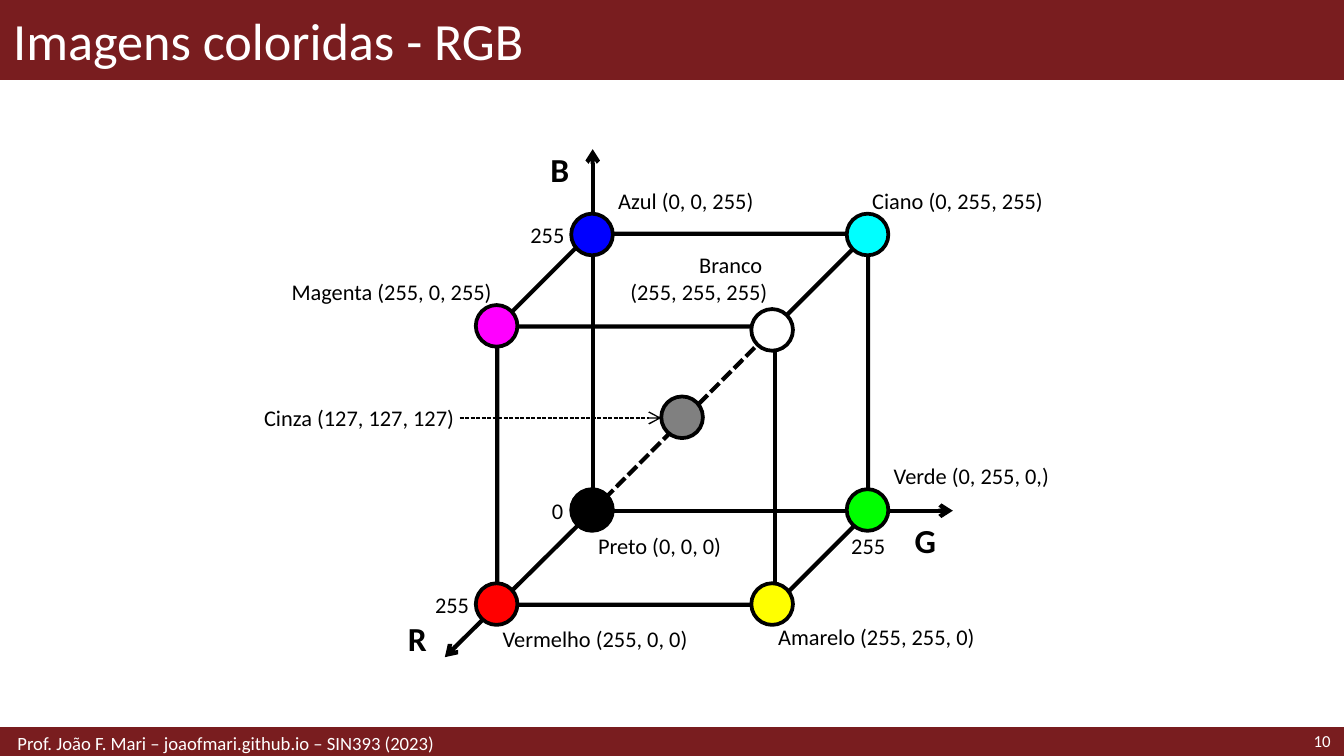
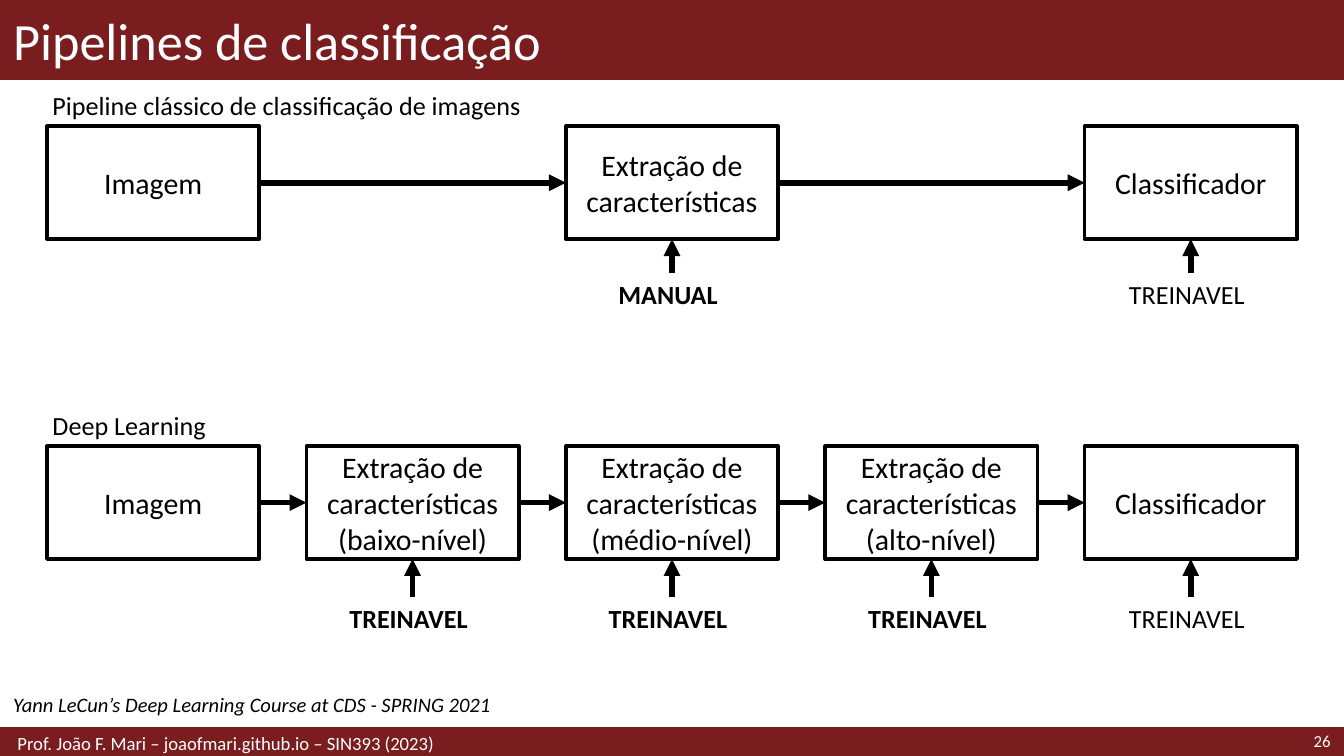
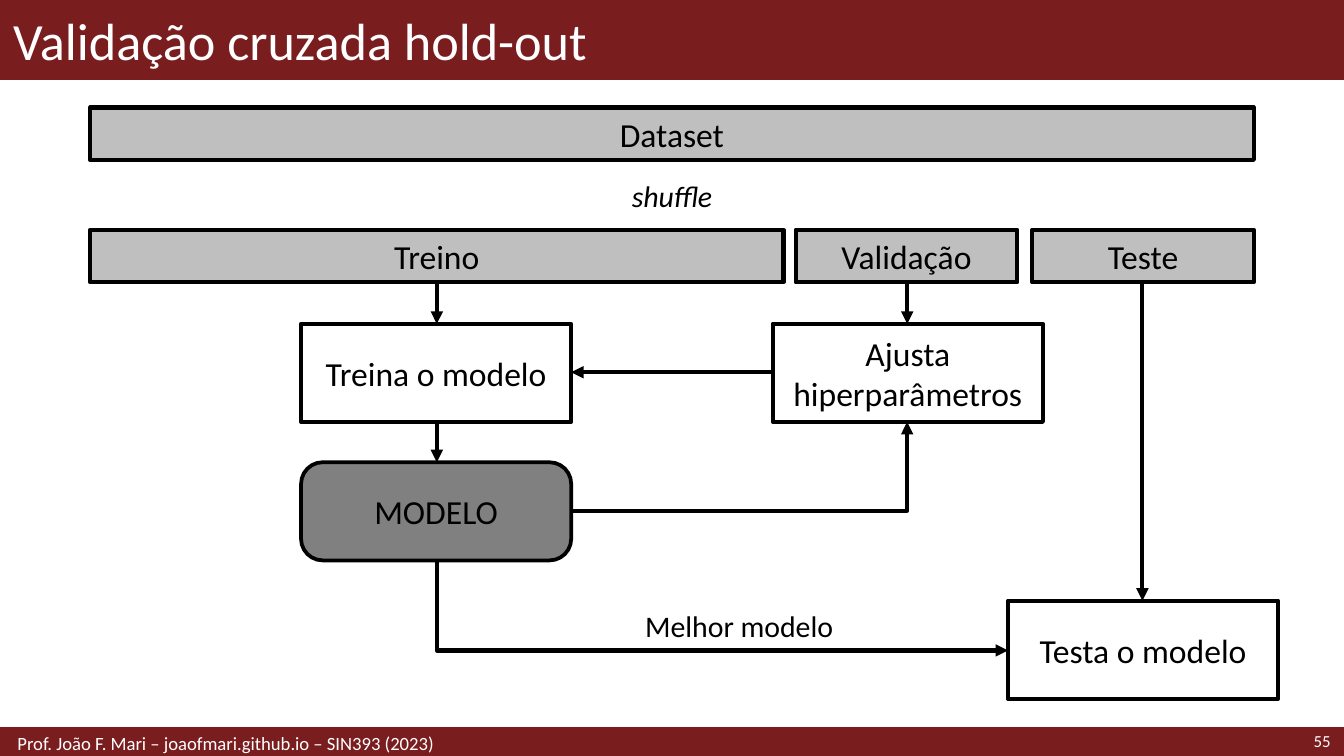
from pptx import Presentation
from pptx.dml.color import RGBColor as Rgb
from pptx.enum.dml import MSO_LINE as Dash
from pptx.enum.shapes import MSO_CONNECTOR as Conn, MSO_SHAPE as Kind
from pptx.enum.text import MSO_ANCHOR as Anchor, PP_ALIGN as Align
from pptx.oxml.ns import qn
from pptx.util import Inches, Pt
from lxml import etree

WINE = Rgb(0x79, 0x1D, 0x1F)
WHITE = Rgb(0xFF, 0xFF, 0xFF)
BLACK = Rgb(0, 0, 0)
GRAY = Rgb(0x80, 0x80, 0x80)
SILVER = Rgb(0xBF, 0xBF, 0xBF)
BLUE = Rgb(0, 0, 0xFF)
CYAN = Rgb(0, 0xFF, 0xFF)
GREEN = Rgb(0, 0xFF, 0)
YELLOW = Rgb(0xFF, 0xFF, 0)
RED = Rgb(0xFF, 0, 0)
PINK = Rgb(0xFF, 0, 0xFF)

LEFT, MID, RIGHT = Align.LEFT, Align.CENTER, Align.RIGHT
TOP, CORE, BASE = Anchor.TOP, Anchor.MIDDLE, Anchor.BOTTOM
PAD = (0.1, 0.05, 0.1, 0.05)
TIGHT = (0.04, 0, 0.04, 0)
LABEL = (0.04, 0.05, 0.1, 0.05)


def put(slide, at, words="", size=12, kind=None, fill=None, edge=BLACK, wide=2,
        side=MID, anchor=CORE, pad=PAD, color=BLACK, wrap=True, **style):
    """Add a preset shape, or a text box if no kind is given."""
    at = [Inches(n) for n in at]
    if kind is None:
        shape = slide.shapes.add_textbox(*at)
    else:
        shape = slide.shapes.add_shape(kind, *at)
        shape.shadow.inherit = False
        shape.line.color.rgb = edge
        shape.line.width = Pt(wide)
        if fill is None:
            shape.fill.background()
        else:
            shape.fill.solid()
            shape.fill.fore_color.rgb = fill
    if words:
        frame = shape.text_frame
        frame.text = words
        form = {"word_wrap": wrap, "vertical_anchor": anchor}
        for key, inset in zip(("left", "top", "right", "bottom"), pad):
            form["margin_" + key] = Inches(inset)
        for key, value in form.items():
            setattr(frame, key, value)
        look = {"name": "Calibri", "size": Pt(size), **style}
        for par in frame.paragraphs:
            par.alignment = side
            for run in par.runs:
                run.font.color.rgb = color
                for key, value in look.items():
                    setattr(run.font, key, value)
    return shape


def link(slide, start, end, wide=2.25, tip="triangle", dash=None, turn=None):
    """Add a straight line, or a one-corner line turned by some degrees."""
    kind = Conn.STRAIGHT if turn is None else Conn.ELBOW
    wire = slide.shapes.add_connector(kind, *[Inches(n) for n in (*start, *end)])
    wire.line.color.rgb = BLACK
    wire.line.width = Pt(wide)
    if dash:
        wire.line.dash_style = dash
    props = wire._element.spPr
    if tip:
        etree.SubElement(props.find(qn("a:ln")), qn("a:tailEnd"), type=tip)
    etree.SubElement(props, qn("a:effectLst"))
    if turn is not None:
        props.find(qn("a:prstGeom")).set("prst", "bentConnector2")
        props.find(qn("a:xfrm")).set("rot", str(turn * 60000))


# Widescreen, 16 to 9
deck = Presentation()
deck.slide_width, deck.slide_height = Inches(10), Inches(10 * 9 / 16)

# Shared bands, title, number and footer
heads = [("Imagens coloridas - RGB", "10"),
         ("Pipelines de classificação", "26"),
         ("Validação cruzada hold-out", "55")]
pages = []
for title, number in heads:
    page = deck.slides.add_slide(deck.slide_layouts[6])
    put(page, (0, 0, 10, 0.59), kind=Kind.RECTANGLE, fill=WINE, edge=WINE, wide=1)
    put(page, (0, 5.42, 10, 0.21), kind=Kind.RECTANGLE, fill=WINE, edge=WINE)
    put(page, (0, 0, 10, 0.59), title, 28, side=LEFT, color=WHITE)
    put(page, (8.86, 5.41, 1.14, 0.21), number, 9, side=RIGHT, color=WHITE)
    put(page, (0, 5.42, 6.89, 0.21),
        "Prof. João F. Mari – joaofmari.github.io – SIN393 (2023)", 10,
        side=LEFT, color=WHITE, pad=(0.13, 0.05, 0.1, 0.05))
    pages.append(page)
cube, pipe, hold = pages

# RGB cube: axes
zero = (4.41, 3.8)
for name, tip, x, y in [("G", (7.09, 3.8), 6.69, 3.87),
                        ("R", (3.31, 4.89), 2.91, 4.6),
                        ("B", (4.41, 1.11), 3.97, 1.11)]:
    link(cube, zero, tip, tip="arrow")
    put(cube, (x, y, 0.39, 0.29), name, 18, bold=True)
for mark, x, y, w in [("0", 4.02, 3.65, 0.21), ("255", 3.86, 1.6, 0.38),
                      ("255", 3.15, 4.35, 0.38)]:
    put(cube, (x, y, w, 0.29), mark, side=RIGHT, pad=TIGHT)
put(cube, (6.27, 3.96, 0.38, 0.2), "255", pad=(0.04,) * 4)

# RGB cube: body, gray diagonal and corners
put(cube, (3.7, 1.74, 2.76, 2.76), kind=Kind.CUBE, wide=2.25)
link(cube, zero, (5.75, 2.45), tip=None, dash=Dash.SQUARE_DOT)
for x, y, tint in [(4.25, 1.59, BLUE), (6.3, 1.59, CYAN), (5.59, 2.3, WHITE),
                   (6.3, 3.64, GREEN), (5.59, 4.34, YELLOW), (3.54, 4.34, RED),
                   (3.54, 2.27, PINK), (4.25, 3.64, BLACK), (4.92, 2.95, GRAY)]:
    put(cube, (x, y, 0.31, 0.31), kind=Kind.OVAL, fill=tint)

# RGB cube: colour names
for words, x, y, w, side, anchor in [
        ("Azul (0, 0, 255)", 4.56, 1.3, 1.18, LEFT, BASE),
        ("Ciano (0, 255, 255)", 6.45, 1.3, 1.57, LEFT, BASE),
        ("Magenta (255, 0, 255)", 2.1, 1.98, 1.6, RIGHT, BASE),
        ("Branco \v(255, 255, 255)", 4.37, 1.98, 1.38, RIGHT, BASE),
        ("Vermelho (255, 0, 0)", 3.7, 4.65, 1.73, LEFT, TOP),
        ("Amarelo (255, 255, 0)", 5.75, 4.64, 1.73, LEFT, TOP),
        ("Verde (0, 255, 0,)", 6.61, 3.35, 1.73, LEFT, BASE),
        ("Preto (0, 0, 0)", 4.41, 3.96, 1.57, LEFT, TOP),
        ("Cinza (127, 127, 127)", 1.85, 2.96, 1.57, RIGHT, CORE)]:
    put(cube, (x, y, w, 0.29), words, side=side, anchor=anchor, pad=TIGHT)
link(cube, (3.42, 3.11), (4.92, 3.11), 0.75, "arrow", Dash.SQUARE_DOT)

# Pipelines: each step has a column, its words and a note below
WIDE, TALL, STEP = 1.58, 0.84, 1.93
extract = "Extração de características"
rows = [
    ("Pipeline clássico de classificação de imagens", 0.94, 2.03,
     [(0, "Imagem", ""), (2, extract, "MANUAL"),
      (4, "Classificador", "TREINAVEL")]),
    ("Deep Learning", 3.32, 4.44,
     [(0, "Imagem", ""), (1, extract + "\n(baixo-nível)", "TREINAVEL"),
      (2, extract + "\n(médio-nível)", "TREINAVEL"),
      (3, extract + "\n(alto-nível)", "TREINAVEL"),
      (4, "Classificador", "TREINAVEL")])]
for head, y, low, steps in rows:
    put(pipe, (0.35, y - 0.31, 5.51, 0.31), head, 14, side=LEFT, pad=LABEL)
    last = None
    for col, words, note in steps:
        x = 0.35 + col * STEP
        put(pipe, (x, y, WIDE, TALL), words, 16, Kind.RECTANGLE)
        if last is not None:
            link(pipe, (last, y + TALL / 2), (x, y + TALL / 2), 3)
        last = x + WIDE
        if note:
            put(pipe, (x, low, WIDE, 0.31), note, 14, pad=LABEL, bold=col < 4)
            link(pipe, (x + WIDE / 2, low), (x + WIDE / 2, y + TALL), 3)
put(pipe, (0, 5.1, 5, 0.29), "Yann LeCun’s Deep Learning Course at CDS - SPRING 2021",
    11, side=LEFT, anchor=TOP, italic=True)

# Hold-out: data bars
for words, x, y, w in [("Dataset", 0.67, 0.8, 8.66), ("Treino", 0.67, 1.71, 5.16),
                       ("Validação", 5.92, 1.71, 1.65), ("Teste", 7.68, 1.71, 1.65)]:
    put(hold, (x, y, w, 0.39), words, 18, Kind.RECTANGLE, SILVER, wide=2.25)

# Hold-out: tasks and model
for words, x, y in [("Treina o modelo", 2.24, 2.41),
                    ("Ajusta hiperparâmetros", 5.75, 2.41),
                    ("Testa o modelo", 7.5, 4.47)]:
    put(hold, (x, y, 2.01, 0.73), words, 18, Kind.RECTANGLE, wide=2.25)
model = put(hold, (2.24, 3.44, 2.01, 0.73), "MODELO", 18, Kind.ROUNDED_RECTANGLE, GRAY)
model.adjustments[0] = 0.22

# Hold-out: arrows and their words
for start, end in [((3.25, 2.1), (3.25, 2.41)), ((6.75, 2.1), (6.75, 2.41)),
                   ((8.5, 2.1), (8.5, 4.47)), ((5.75, 2.77), (4.25, 2.77)),
                   ((3.25, 3.14), (3.25, 3.44))]:
    link(hold, start, end)
link(hold, (4.25, 3.8), (6.75, 3.14), turn=0)
link(hold, (5.71, 2.38), (5.04, 6.63), turn=270)
put(hold, (4.59, 1.27, 0.82, 0.37), "shuffle", 16, anchor=TOP, wrap=False, italic=True)
put(hold, (4.69, 4.47, 1.62, 0.37), "Melhor modelo", 16, anchor=TOP, wrap=False)

deck.save("out.pptx")
